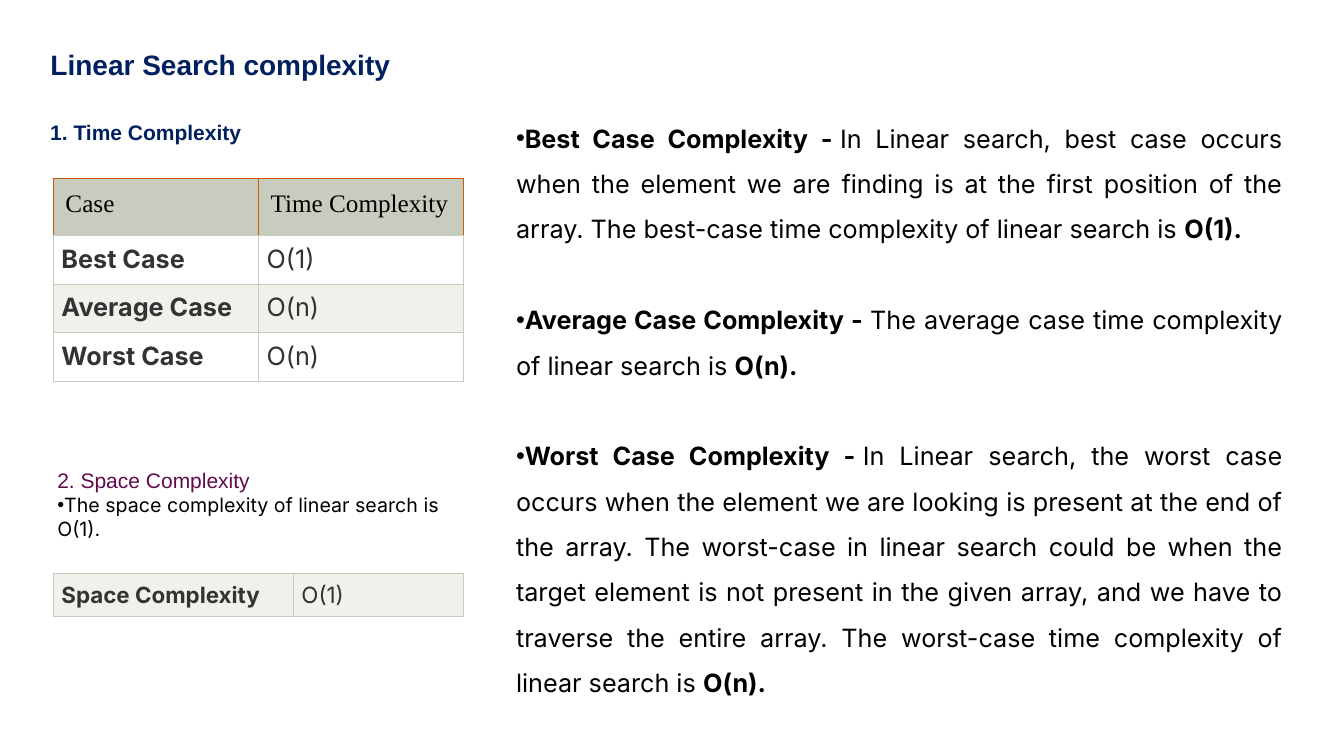
from dataclasses import dataclass

from lxml import etree
from pptx import Presentation
from pptx.dml.color import RGBColor
from pptx.enum.text import MSO_ANCHOR, MSO_AUTO_SIZE, PP_ALIGN
from pptx.oxml.ns import qn
from pptx.util import Inches, Pt

JUSTIFY = PP_ALIGN.JUSTIFY
LEFT = PP_ALIGN.LEFT
TOP = MSO_ANCHOR.TOP
MIDDLE = MSO_ANCHOR.MIDDLE
NO_FIT = MSO_AUTO_SIZE.NONE
TITLE_ONLY = 5


@dataclass(frozen=True)
class Style:
    """Font, size, colour and weight of a piece of text."""
    font: str
    size: float
    color: str
    bold: bool = False


@dataclass(frozen=True)
class Theme:
    """Colours and type styles of the slide."""
    title: Style = Style("Arial", 20, "002060", True)
    time_heading: Style = Style("Arial", 15, "002060", True)
    space_heading: Style = Style("Arial", 15, "610B4B")
    note: Style = Style("Inter", 14, "000000")
    body: Style = Style("Inter", 18, "000000")
    strong: Style = Style("Inter", 18, "000000", True)
    header: Style = Style("Times New Roman", 18, "000000")
    label: Style = Style("Inter", 18, "333333", True)
    value: Style = Style("Inter", 18, "333333")
    small_label: Style = Style("Inter", 16, "333333", True)
    small_value: Style = Style("Inter", 16, "333333")
    grid: str = "C7CCBE"
    header_edge: str = "C85B07"
    band: str = "EFF1EB"
    plain: str = "FFFFFF"


THEME = Theme()
NBSP = "\u00a0"

TIME_ROWS = [
    ("Case", "Time Complexity"),
    ("Best Case", "O(1)"),
    ("Average Case", "O(n)"),
    ("Worst Case", "O(n)"),
]
SPACE_ROWS = [("Space Complexity", "O(1)")]
CASES = [
    ("Best Case Complexity -",
     "In Linear search, best case occurs when the element we are finding is at the "
     "first position of the array. The best-case time complexity of linear search is",
     "O(1)."),
    ("Average Case Complexity -",
     "The average case time complexity of linear search is",
     "O(n)."),
    ("Worst Case Complexity -",
     "In Linear search, the worst case occurs when the element we are looking is "
     "present at the end of the array. The worst-case in linear search could be when "
     "the target element is not present in the given array, and we have to traverse "
     "the entire array. The worst-case time complexity of linear search is",
     "O(n)."),
]


def add_run(p, text, style):
    """Add a styled run to a paragraph."""
    r = p.add_run()
    r.text = text
    r.font.name = style.font
    r.font.size = Pt(style.size)
    r.font.bold = style.bold
    r.font.color.rgb = RGBColor.from_string(style.color)


def add_bullet(p):
    """Put a round bullet directly before the paragraph's text."""
    pPr = p._p.get_or_add_pPr()
    pPr.set("marL", "0")
    pPr.set("indent", "0")
    etree.SubElement(pPr, qn("a:buFont")).set("typeface", "Arial")
    etree.SubElement(pPr, qn("a:buChar")).set("char", "•")


def add_text(s, box, anchor=TOP):
    """Add a wrapping text box and return its text frame."""
    tf = s.shapes.add_textbox(*map(Inches, box)).text_frame
    tf.word_wrap = True
    tf.vertical_anchor = anchor
    return tf


def set_borders(cell, edges):
    """Draw the left, right, top and bottom borders of a cell."""
    tcPr = cell._tc.get_or_add_tcPr()
    for side, color in zip("LRTB", edges):
        ln = etree.SubElement(tcPr, qn(f"a:ln{side}"), w=str(Pt(0.75)))
        fill = etree.SubElement(ln, qn("a:solidFill"))
        etree.SubElement(fill, qn("a:srgbClr"), val=color)


def fill_cell(cell, text, style, fill, edges, margin, align):
    """Set the text, padding, borders and fill of a cell."""
    cell.margin_left = cell.margin_right = Inches(margin)
    cell.margin_top = cell.margin_bottom = Inches(margin)
    set_borders(cell, edges)
    cell.fill.solid()
    cell.fill.fore_color.rgb = RGBColor.from_string(fill)
    p = cell.text_frame.paragraphs[0]
    p.alignment = align
    add_run(p, text, style)


def add_grid(s, box, rows, widths, heights, styles, has_header=False):
    """Add a two-column table with alternating row fills."""
    table = s.shapes.add_table(len(rows), len(widths), *map(Inches, box)).table
    table.first_row = table.horz_banding = False
    for column, width in zip(table.columns, widths):
        column.width = Inches(width)
    for i, (texts, height) in enumerate(zip(rows, heights)):
        table.rows[i].height = Inches(height)
        header = has_header and i == 0
        for j, text in enumerate(texts):
            cell = table.cell(i, j)
            if header:
                edges = [THEME.header_edge] * 3 + [THEME.grid]
                fill_cell(cell, text, THEME.header, THEME.grid, edges, 0.12, LEFT)
            else:
                fill = THEME.plain if i % 2 else THEME.band
                fill_cell(cell, text, styles[j], fill, [THEME.grid] * 4, 0.08, JUSTIFY)


def add_title(s, box):
    """Place and format the slide title."""
    title = s.shapes.title
    title.left, title.top, title.width, title.height = map(Inches, box)
    tf = title.text_frame
    tf.auto_size = NO_FIT
    tf.vertical_anchor = TOP
    p = tf.paragraphs[0]
    p.alignment = JUSTIFY
    add_run(p, "Linear Search complexity", THEME.title)


def add_time_section(s, box):
    """Add the time complexity heading and its table."""
    x, y, w, h = box
    tf = add_text(s, (x, y, w, 0.35), MIDDLE)
    add_run(tf.paragraphs[0], "1. Time Complexity", THEME.time_heading)
    width = w - 0.13
    add_grid(s, (x + 0.13, y + 0.63, width, h - 0.63), TIME_ROWS,
             [width / 2] * 2, [0.57] + [0.48] * 3,
             (THEME.label, THEME.value), has_header=True)


def add_space_section(s, box):
    """Add the space complexity heading, note and table."""
    x, y, w, h = box
    tf = add_text(s, (x, y, w, 0.8), MIDDLE)
    add_run(tf.paragraphs[0], "2. Space Complexity", THEME.space_heading)
    p = tf.add_paragraph()
    add_bullet(p)
    add_run(p, "The space complexity of linear search is O(1).", THEME.note)
    add_grid(s, (x + 0.06, y + h - 0.43, 4.07, 0.43), SPACE_ROWS,
             [2.38, 1.69], [0.43], (THEME.small_label, THEME.small_value))


def add_cases(s, box):
    """Add the bulleted explanation of the three cases."""
    tf = add_text(s, box)
    for i, (name, detail, order) in enumerate(CASES):
        p = tf.add_paragraph() if i else tf.paragraphs[0]
        p.alignment = JUSTIFY
        p.line_spacing = 1.5
        p.space_before = Pt(32.5 if i else 0)
        add_bullet(p)
        add_run(p, name, THEME.strong)
        add_run(p, NBSP + detail + NBSP, THEME.body)
        add_run(p, order, THEME.strong)


def build_slide(prs):
    """Build the linear search complexity slide."""
    s = prs.slides.add_slide(prs.slide_layouts[TITLE_ONLY])
    add_title(s, (0.4, 0.42, 12.41, 0.44))
    add_time_section(s, (0.4, 1.14, 4.2, 2.65))
    add_cases(s, (5.02, 1.02, 7.8, 6))
    add_space_section(s, (0.47, 4.6, 4.43, 1.52))


prs = Presentation()
prs.slide_width = Inches(13.33)
prs.slide_height = Inches(7.5)
build_slide(prs)
prs.save("out.pptx")
